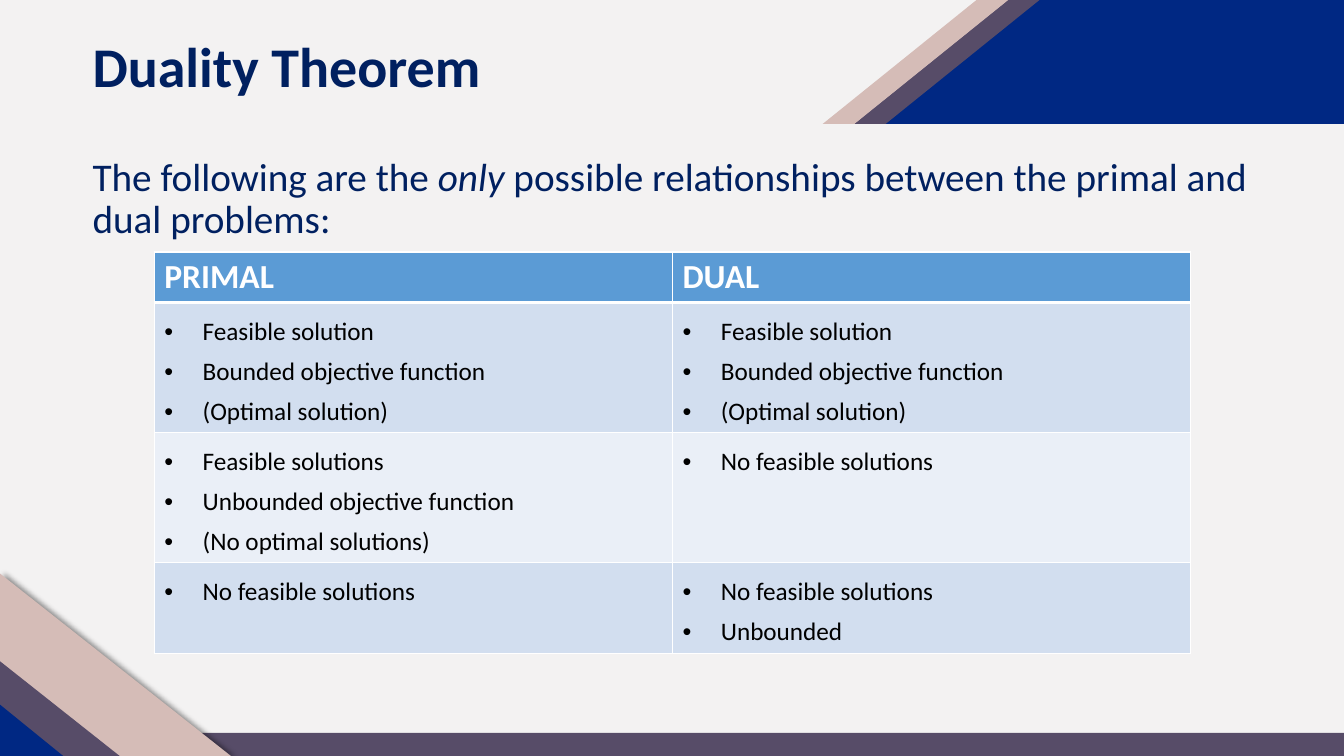
from lxml.etree import SubElement
from pptx import Presentation
from pptx.dml.color import RGBColor
from pptx.enum.shapes import MSO_SHAPE as Preset
from pptx.enum.text import MSO_ANCHOR as Anchor
from pptx.oxml.ns import qn
from pptx.util import Inches, Pt

NAVY, BLUE, PLUM, ROSE = "002060", "002883", "574C68", "D5BCB7"
HEADER_FILL, BAND_FILLS = "5B9BD5", ("D2DEEF", "EAEFF7")
HEADERS = ("PRIMAL", "DUAL")
BOUNDED = ("Feasible solution", "Bounded objective function", "(Optimal solution)")
UNBOUNDED = ("Feasible solutions", "Unbounded objective function", "(No optimal solutions)")
INFEASIBLE = ("No feasible solutions",)
RELATIONSHIPS = (
    (BOUNDED, BOUNDED),
    (UNBOUNDED, INFEASIBLE),
    (INFEASIBLE, INFEASIBLE + ("Unbounded",)),
)
ROW_HEIGHTS = (0.5, 1.29, 1.29, 0.9)


def color(value):
    """Turn a hex string into a colour."""
    return RGBColor.from_string(value)


def paint(shape, fill):
    """Give a shape a flat fill without line or shadow."""
    shape.shadow.inherit = False
    shape.fill.solid()
    shape.fill.fore_color.rgb = color(fill)
    shape.line.fill.background()


def add_preset(slide, preset, box, fill, adjustment=None):
    """Add a flat preset shape."""
    shape = slide.shapes.add_shape(preset, *map(Inches, box))
    paint(shape, fill)
    if adjustment is not None:
        shape.adjustments[0] = adjustment
    return shape


def add_stripe(slide, box, fill):
    """Add a diagonal stripe that falls from left to right."""
    stripe = add_preset(slide, Preset.DIAGONAL_STRIPE, box, fill)
    stripe.rotation = 180
    stripe._element.spPr.find(qn("a:xfrm")).set("flipH", "1")
    return stripe


def add_shadow(shape):
    """Cast a soft shadow to the right of a shape."""
    effects = shape._element.spPr.find(qn("a:effectLst"))
    shadow = SubElement(effects, qn("a:outerShdw"), blurRad=str(Pt(4)), dist=str(Pt(3)),
                        dir="0", algn="l", rotWithShape="0")
    black = SubElement(shadow, qn("a:srgbClr"), val="000000")
    SubElement(black, qn("a:alpha"), val="40000")


def add_polygon(slide, points, fill):
    """Add a closed outline through points in inches."""
    corners = [(Inches(x), Inches(y)) for x, y in points]
    builder = slide.shapes.build_freeform(*corners[0])
    builder.add_line_segments(corners[1:], close=True)
    paint(builder.convert_to_shape(), fill)


def add_run(paragraph, text, size, fill, bold=False, italic=False):
    """Add one styled run."""
    run = paragraph.add_run()
    run.text = text
    font = run.font
    font.name, font.size, font.bold, font.italic = "Calibri", Pt(size), bold, italic
    font.color.rgb = color(fill)


def add_text(slide, box, anchor):
    """Add a wrapping text box and return its paragraph."""
    frame = slide.shapes.add_textbox(*map(Inches, box)).text_frame
    frame.word_wrap = True
    frame.vertical_anchor = anchor
    paragraph = frame.paragraphs[0]
    paragraph.line_spacing = 0.9
    return paragraph


def style_cell(cell, fill, top=1, bottom=1):
    """Set the white borders and the fill of a cell."""
    properties = cell._tc.get_or_add_tcPr()
    for side, width in (("L", 1), ("R", 1), ("T", top), ("B", bottom)):
        line = SubElement(properties, qn(f"a:ln{side}"), w=str(Pt(width)))
        SubElement(SubElement(line, qn("a:solidFill")), qn("a:srgbClr"), val="FFFFFF")
    cell.fill.solid()
    cell.fill.fore_color.rgb = color(fill)


def add_bullets(cell, items):
    """Fill a cell with a bulleted list."""
    frame = cell.text_frame
    for index, item in enumerate(items):
        paragraph = frame.add_paragraph() if index else frame.paragraphs[0]
        paragraph.line_spacing = 1.3
        properties = paragraph._p.get_or_add_pPr()
        properties.set("marL", str(Inches(0.38)))
        properties.set("indent", str(Inches(-0.38)))
        SubElement(properties, qn("a:buFont"), typeface="Arial")
        SubElement(properties, qn("a:buChar"), char="•")
        add_run(paragraph, item, 18, "000000")


def add_relationship_table(slide):
    """Add the table of primal and dual outcomes."""
    table = slide.shapes.add_table(
        len(ROW_HEIGHTS), len(HEADERS), Inches(1.53), Inches(2.5),
        Inches(10.28), Inches(sum(ROW_HEIGHTS))).table
    for row, height in zip(table.rows, ROW_HEIGHTS):
        row.height = Inches(height)
    for column, header in enumerate(HEADERS):
        cell = table.cell(0, column)
        style_cell(cell, HEADER_FILL, bottom=3)
        add_run(cell.text_frame.paragraphs[0], header, 24, "FFFFFF", bold=True)
    for row, outcomes in enumerate(RELATIONSHIPS, start=1):
        for column, items in enumerate(outcomes):
            cell = table.cell(row, column)
            style_cell(cell, BAND_FILLS[(row - 1) % 2], top=3 if row == 1 else 1)
            add_bullets(cell, items)


def add_decoration(slide):
    """Add the corner bands and the footer bar."""
    add_preset(slide, Preset.RECTANGLE, (1.57, 7.27, 11.77, 0.24), PLUM)
    add_polygon(slide, ((8.73, 1.23), (10.28, 0), (13.33, 0), (13.33, 1.23)), BLUE)
    for left, fill in ((8.47, PLUM), (8.16, ROSE)):
        add_preset(slide, Preset.PARALLELOGRAM, (left, 0, 1.84, 1.23), fill, 1.241)
    add_shadow(add_stripe(slide, (0, 5.69, 2.29, 1.81), ROSE))
    add_stripe(slide, (0, 6.56, 1.2, 0.95), PLUM)
    add_preset(slide, Preset.RIGHT_TRIANGLE, (0, 6.99, 0.64, 0.52), BLUE)


def main():
    """Build and save the slide."""
    presentation = Presentation()
    presentation.slide_width, presentation.slide_height = Inches(13.33), Inches(7.5)
    slide = presentation.slides.add_slide(presentation.slide_layouts[6])
    slide.background.fill.solid()
    slide.background.fill.fore_color.rgb = color("F3F2F2")
    add_decoration(slide)
    title = add_text(slide, (0.82, 0.03, 7.21, 1.32), Anchor.MIDDLE)
    add_run(title, "Duality Theorem", 40, NAVY, bold=True)
    introduction = add_text(slide, (0.82, 1.51, 11.7, 1.18), Anchor.TOP)
    introduction.space_before = Pt(10)
    add_run(introduction, "The following are the ", 28, NAVY)
    add_run(introduction, "only ", 28, NAVY, italic=True)
    add_run(introduction, "possible relationships between the primal and dual problems:", 28, NAVY)
    add_relationship_table(slide)
    presentation.save("out.pptx")


if __name__ == "__main__":
    main()
